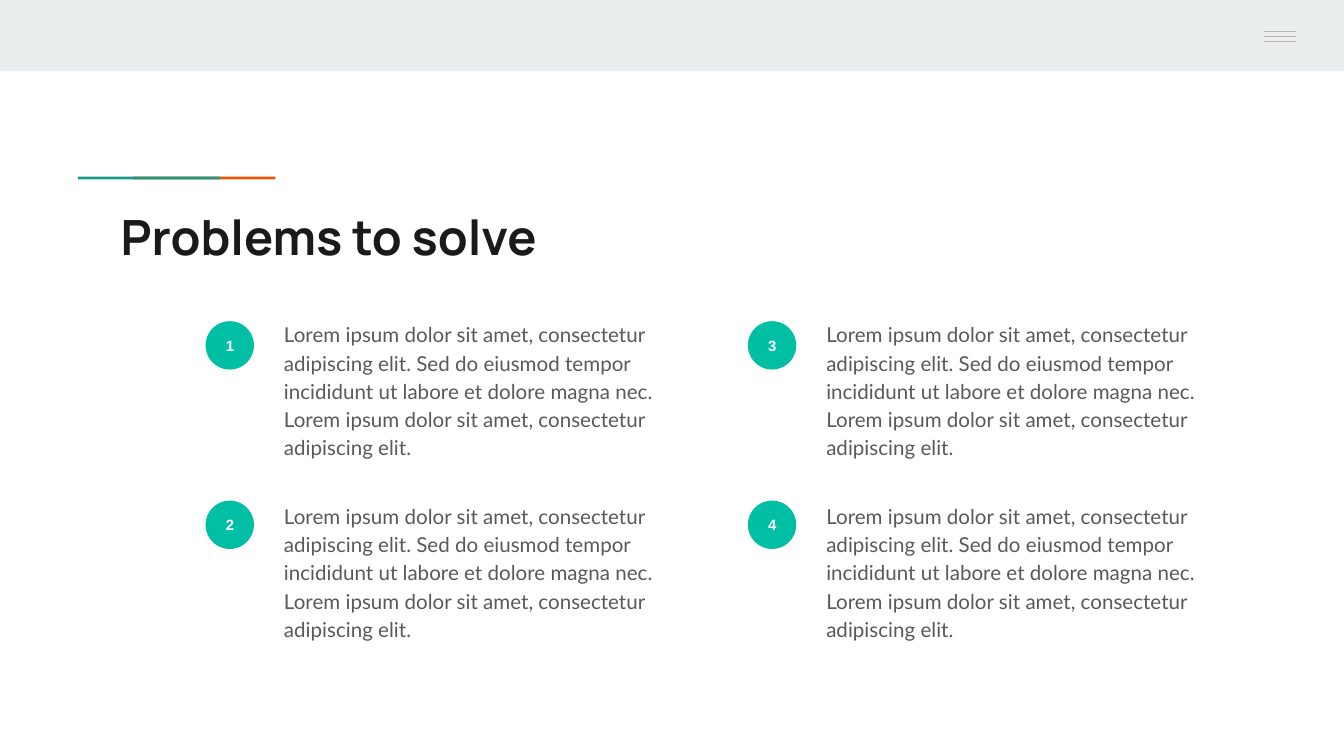
import dataclasses

import pptx
import pptx.dml.color
import pptx.enum.shapes
import pptx.enum.text
import pptx.oxml.ns
import pptx.util
from lxml import etree

SHAPES = pptx.enum.shapes.MSO_SHAPE
COLUMNS, ROWS = 100, 56.25  # square grid cells, a tenth of an inch each
CELL = pptx.util.Inches(10) / COLUMNS

BODY = (
    "Lorem ipsum dolor sit amet, consectetur adipiscing elit. "
    "Sed do eiusmod tempor incididunt ut labore et dolore magna nec. "
    "Lorem ipsum dolor sit amet, consectetur adipiscing elit."
)
PROBLEMS = [BODY] * 4


@dataclasses.dataclass(frozen=True)
class Theme:
    band: str = "E9EDEE"
    menu: str = "B7B7B7"
    orange: str = "EB5600"
    teal: str = "1A9988"
    badge: str = "00BFA5"
    title: str = "1A1A1A"
    body: str = "595959"
    white: str = "FFFFFF"
    title_size: int = 26
    body_size: int = 11
    badge_size: int = 8
    menu_width: float = 0.75


THEME = Theme()


def rgb(code):
    return pptx.dml.color.RGBColor.from_string(code)


def cells(*counts):
    return [pptx.util.Emu(round(count * CELL)) for count in counts]


def add_block(page, kind, area, color):
    shape = page.shapes.add_shape(kind, *cells(*area))
    shape.shadow.inherit = False
    shape.fill.solid()
    shape.fill.fore_color.rgb = rgb(color)
    shape.line.fill.background()
    return shape


def add_rule(page, left, right, row):
    rule = page.shapes.add_connector(
        pptx.enum.shapes.MSO_CONNECTOR.STRAIGHT, *cells(left, row, right, row))
    rule.line.color.rgb = rgb(THEME.menu)
    rule.line.width = pptx.util.Pt(THEME.menu_width)
    properties = rule._element.spPr
    etree.SubElement(properties, pptx.oxml.ns.qn("a:effectLst"))


def write(shape, text, font, size, color, bold=False):
    frame = shape.text_frame
    frame.word_wrap = True
    frame.margin_left, frame.margin_top, frame.margin_right, frame.margin_bottom = cells(1, 1, 1, 1)
    frame.text = text
    para = frame.paragraphs[0]
    span = para.runs[0]
    span.font.name = font
    span.font.size = pptx.util.Pt(size)
    span.font.bold = bold
    span.font.color.rgb = rgb(color)
    return para


def add_text(page, area, *style, **options):
    box = page.shapes.add_textbox(*cells(*area))
    return write(box, *style, **options)


def add_badge(page, left, top, number):
    badge = add_block(page, SHAPES.OVAL, (left, top, 3.6, 3.6), THEME.badge)
    para = write(badge, str(number), "Arial", THEME.badge_size, THEME.white, bold=True)
    para.alignment = pptx.enum.text.PP_ALIGN.CENTER
    badge.text_frame.vertical_anchor = pptx.enum.text.MSO_ANCHOR.MIDDLE


def add_problem(page, index, text):
    # Numbers run down the first column, then down the second
    column, row = divmod(index, 2)
    left = 15.3 + column * 40.35
    add_badge(page, left, 23.9 + row * 13.35, index + 1)
    para = add_text(page, (left + 4.85, 22.7 + row * 13.5, 31, 11.5),
                    text, "Lato", THEME.body_size, THEME.body)
    para.line_spacing = 1.15
    para.space_after = pptx.util.Pt(16)


def add_header(page):
    # Top band with the menu icon
    add_block(page, SHAPES.RECTANGLE, (0, 0, COLUMNS, 5.3), THEME.band)
    for line in range(3):
        add_rule(page, 94.05, 96.4, 2.35 + line * 0.37)

    # Accent bar: teal overlaps orange
    for left, color in ((9.9, THEME.orange), (5.8, THEME.teal)):
        add_block(page, SHAPES.RECTANGLE, (left, 13.15, 10.6, 0.2), color)


def main():
    deck = pptx.Presentation()
    deck.slide_width, deck.slide_height = cells(COLUMNS, ROWS)
    page = deck.slides.add_slide(deck.slide_layouts[6])

    add_header(page)
    add_text(page, (8, 14.4, 84.1, 5.9), "Problems to solve", "Manrope",
             THEME.title_size, THEME.title, bold=True)

    # Numbered problems
    for index, text in enumerate(PROBLEMS):
        add_problem(page, index, text)

    deck.save("out.pptx")


if __name__ == "__main__":
    main()
